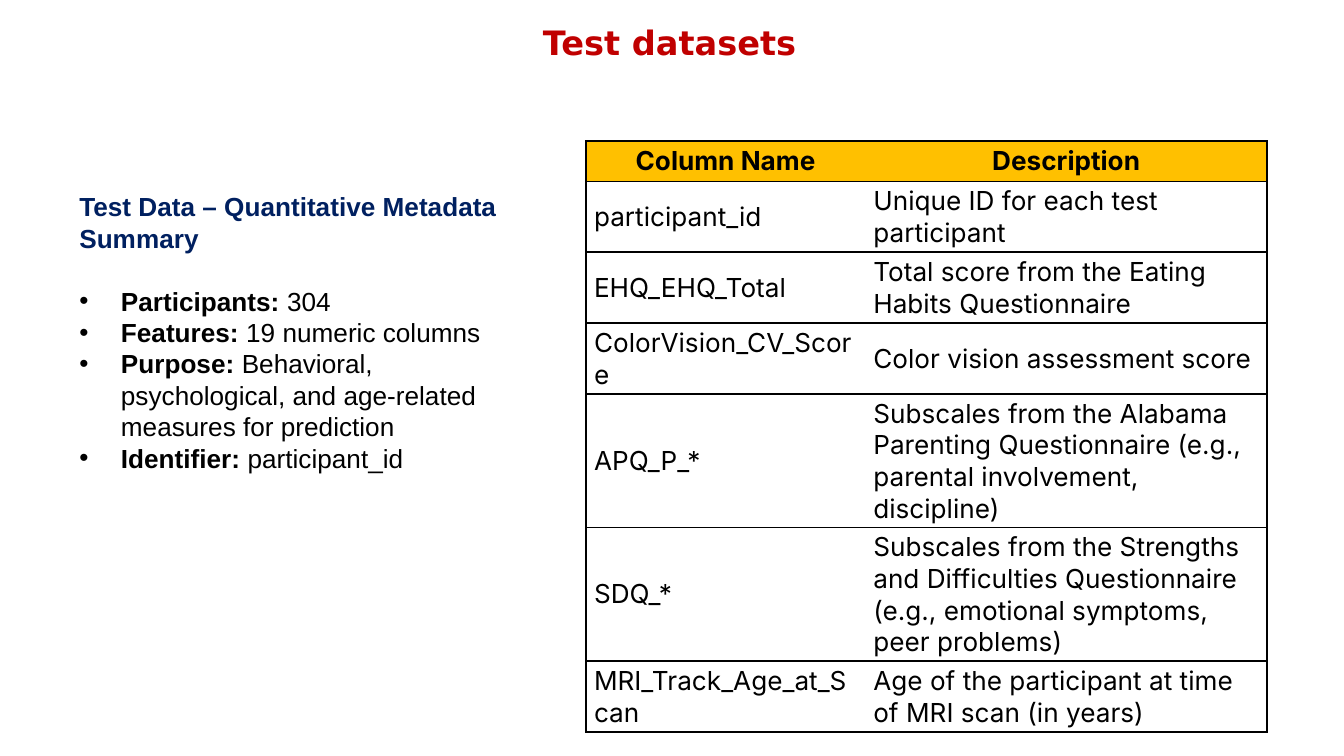
from lxml.etree import SubElement
from pptx import Presentation
from pptx.dml.color import RGBColor
from pptx.enum.text import MSO_ANCHOR, MSO_AUTO_SIZE, PP_ALIGN
from pptx.oxml.ns import qn
from pptx.util import Inches, Pt

COLORS = {"title": "C00000", "heading": "002060", "text": "000000",
          "header": "FFC000", "line": "000000"}
WIDTH = 10
HEIGHT = WIDTH * 9 / 16
TEXT_SIZE = 14

# Regions: left, top, width, height in inches
TITLE_BOX = (3.94, 0.11, 2.12, 0.4)
SUMMARY_BOX = (0.49, 1.37, 3.35, 2.22)
TABLE_BOX = (4.36, 1.05, 5.07, 3.36)

SUMMARY = [
    ("Participants: ", "304"),
    ("Features: ", "19 numeric columns"),
    ("Purpose: ", "Behavioral, psychological, and age-related measures for prediction"),
    ("Identifier: ", "participant_id"),
]
COLUMN_SHARES = (0.41, 0.59)
# Row height in inches, column name, description
ROWS = [
    (0.3, "Column Name", "Description"),
    (0.3, "participant_id", "Unique ID for each test participant"),
    (0.51, "EHQ_EHQ_Total", "Total score from the Eating Habits Questionnaire"),
    (0.3, "ColorVision_CV_Score", "Color vision assessment score"),
    (0.72, "APQ_P_*", "Subscales from the Alabama Parenting Questionnaire "
                      "(e.g., parental involvement, discipline)"),
    (0.72, "SDQ_*", "Subscales from the Strengths and Difficulties Questionnaire "
                    "(e.g., emotional symptoms, peer problems)"),
    (0.51, "MRI_Track_Age_at_Scan", "Age of the participant at time of MRI scan (in years)"),
]


def add_span(para, text, font, color, size=TEXT_SIZE, bold=False):
    span = para.add_run()
    span.text = text
    span.font.name = font
    span.font.size = Pt(size)
    span.font.bold = bold
    span.font.color.rgb = RGBColor.from_string(COLORS[color])


def place(shape, box):
    shape.left, shape.top, shape.width, shape.height = map(Inches, box)


def set_bullet(para, indent=0.31):
    """Give the paragraph a round bullet with a hanging indent, or none."""
    properties = para._p.get_or_add_pPr()
    properties.set("marL", str(Inches(indent)))
    properties.set("indent", str(-Inches(indent)))
    if not indent:
        SubElement(properties, qn("a:buNone"))
        return
    color = SubElement(properties, qn("a:buClr"))
    SubElement(color, qn("a:srgbClr"), val=COLORS["text"])
    SubElement(properties, qn("a:buFont"), typeface="Arial")
    SubElement(properties, qn("a:buChar"), char="•")


def set_borders(cell, sides):
    """Draw the named sides of a cell and clear the others."""
    properties = cell._tc.get_or_add_tcPr()
    for position, side in enumerate("LRTB"):
        line = SubElement(properties, qn(f"a:ln{side}"), w=str(Pt(1)))
        properties.insert(position, line)
        if side in sides:
            fill = SubElement(line, qn("a:solidFill"))
            SubElement(fill, qn("a:srgbClr"), val=COLORS["line"])
        else:
            SubElement(line, qn("a:noFill"))


def fill_title(title, box):
    place(title, box)
    frame = title.text_frame
    frame.word_wrap = False
    frame.auto_size = MSO_AUTO_SIZE.SHAPE_TO_FIT_TEXT
    frame.vertical_anchor = MSO_ANCHOR.TOP
    para = frame.paragraphs[0]
    para.alignment = PP_ALIGN.LEFT
    add_span(para, "Test datasets", "DejaVu Sans", "title", 18, True)


def fill_summary(body, box):
    place(body, box)
    frame = body.text_frame
    frame.word_wrap = True
    frame.auto_size = MSO_AUTO_SIZE.SHAPE_TO_FIT_TEXT
    frame.vertical_anchor = MSO_ANCHOR.TOP
    # Heading, followed by a gap of one line
    heading = frame.paragraphs[0]
    set_bullet(heading, 0)
    add_span(heading, "Test Data – Quantitative Metadata Summary",
             "Arial", "heading", bold=True)
    # Bulleted facts
    for label, value in SUMMARY:
        para = frame.add_paragraph()
        set_bullet(para)
        add_span(para, label, "Arial", "text", bold=True)
        add_span(para, value, "Arial", "text")
    for para in frame.paragraphs:
        para.space_before = Pt(0)
        para.line_spacing = Pt(16.8)
    heading.space_after = Pt(16.8)


def add_column_table(page, box):
    frame = page.shapes.add_table(len(ROWS), len(COLUMN_SHARES), *map(Inches, box))
    table = frame.table
    table.first_row = table.horz_banding = False
    for column, share in zip(table.columns, COLUMN_SHARES):
        column.width = Inches(box[2] * share)
    for row_number, (height, *texts) in enumerate(ROWS):
        table.rows[row_number].height = Inches(height)
        is_header = row_number == 0
        for column_number, text in enumerate(texts):
            cell = table.cell(row_number, column_number)
            cell.vertical_anchor = MSO_ANCHOR.MIDDLE
            cell.margin_left = cell.margin_right = Inches(0.06)
            cell.margin_top = cell.margin_bottom = Inches(0.03)
            para = cell.text_frame.paragraphs[0]
            para.alignment = PP_ALIGN.CENTER if is_header else PP_ALIGN.LEFT
            add_span(para, text, "Inter", "text", bold=is_header)
            if is_header:
                cell.fill.solid()
                cell.fill.fore_color.rgb = RGBColor.from_string(COLORS["header"])
            else:
                cell.fill.background()
            set_borders(cell, ("LTB", "RTB")[column_number])


def main():
    deck = Presentation()
    deck.slide_width, deck.slide_height = Inches(WIDTH), Inches(HEIGHT)
    page = deck.slides.add_slide(deck.slide_layouts.get_by_name("Title and Content"))
    fill_title(page.shapes.title, TITLE_BOX)
    fill_summary(page.placeholders[1], SUMMARY_BOX)
    add_column_table(page, TABLE_BOX)
    deck.save("out.pptx")


if __name__ == "__main__":
    main()
